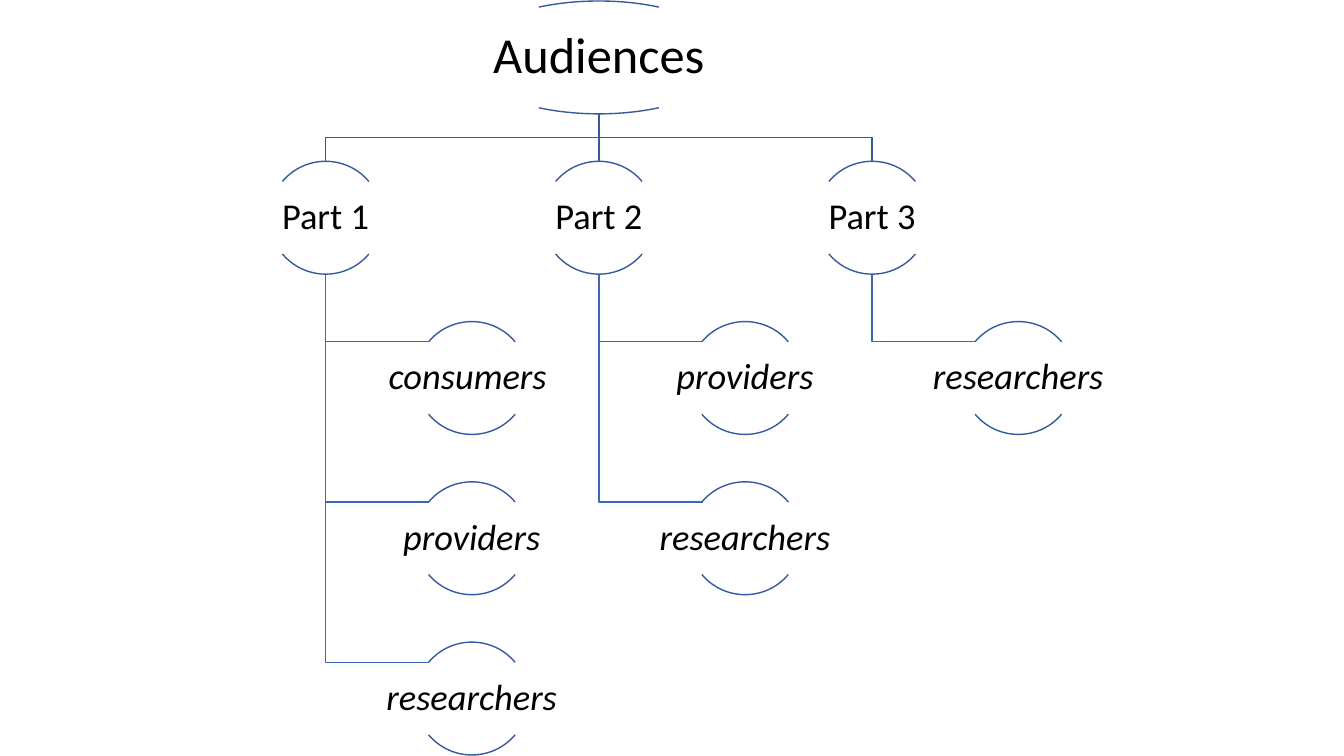
from dataclasses import dataclass

import lxml.etree
import pptx
import pptx.dml.color
import pptx.enum.shapes
import pptx.enum.text
import pptx.oxml.ns
import pptx.util

Inches = pptx.util.Inches

# Layout of the hierarchy, in inches
TOP = 0.01
LEVEL_STEP = 1.59
NODE_HEIGHT = 1.12
TEXT_OFFSET = 0.2
TEXT_HEIGHT = 0.72
FIRST_PART_X = 3.23
PART_STEP = 2.71
CHILD_OFFSET = 1.45
BRANCH_LENGTH = 1.03

NODE_COLOR = "365B9D"
BRANCH_COLOR = "3E67B2"
TEXT_COLOR = "000000"
ARC_ANGLES = ((132, 192), (24, 84))  # top and bottom arc

Point = tuple[float, float]


@dataclass
class Node:
    text: str
    center_x: float
    level: int
    arc_width: float = NODE_HEIGHT
    text_width: float = 2 * NODE_HEIGHT
    font_size: int = 26
    margin: float = 0.02
    italic: bool = False

    @property
    def top(self) -> float:
        return TOP + self.level * LEVEL_STEP

    @property
    def bottom(self) -> float:
        return self.top + NODE_HEIGHT


@dataclass
class Part:
    title: str
    audiences: list[str]


PARTS = [
    Part("Part 1", ["consumers ", "providers", "researchers"]),
    Part("Part 2", ["providers", "researchers"]),
    Part("Part 3", ["researchers"]),
]


def color(hex_value: str) -> pptx.dml.color.RGBColor:
    return pptx.dml.color.RGBColor.from_string(hex_value)


def format_line(shape, hex_value: str) -> None:
    shape.line.color.rgb = color(hex_value)
    shape.line.width = pptx.util.Pt(1)


def draw_path(slide, points: list[Point], hex_value: str) -> None:
    corners = [(Inches(x), Inches(y)) for x, y in points]
    builder = slide.shapes.build_freeform(*corners[0])
    builder.add_line_segments(corners[1:], close=False)
    path_shape = builder.convert_to_shape()
    path_shape.fill.background()
    path_shape.shadow.inherit = False
    format_line(path_shape, hex_value)


def draw_straight(slide, start: Point, end: Point, hex_value: str) -> None:
    connector = slide.shapes.add_connector(
        pptx.enum.shapes.MSO_CONNECTOR.STRAIGHT,
        *(Inches(value) for value in start + end))
    format_line(connector, hex_value)
    properties = connector._element.spPr
    lxml.etree.SubElement(properties, pptx.oxml.ns.qn("a:effectLst"))


def draw_arcs(slide, node: Node) -> None:
    for angles in ARC_ANGLES:
        arc = slide.shapes.add_shape(
            pptx.enum.shapes.MSO_SHAPE.ARC,
            Inches(node.center_x - node.arc_width / 2), Inches(node.top),
            Inches(node.arc_width), Inches(NODE_HEIGHT))
        arc.adjustments[0], arc.adjustments[1] = angles
        arc.fill.background()
        arc.shadow.inherit = False
        format_line(arc, NODE_COLOR)


def write_label(shape, node: Node) -> None:
    shape.left = Inches(node.center_x - node.text_width / 2)
    shape.top = Inches(node.top + TEXT_OFFSET)
    shape.width = Inches(node.text_width)
    shape.height = Inches(TEXT_HEIGHT)
    frame = shape.text_frame
    frame.text = node.text
    frame.word_wrap = True
    frame.auto_size = pptx.enum.text.MSO_AUTO_SIZE.NONE
    frame.vertical_anchor = pptx.enum.text.MSO_ANCHOR.MIDDLE
    frame.margin_left = frame.margin_right = Inches(node.margin)
    frame.margin_top = frame.margin_bottom = Inches(node.margin)
    paragraph = frame.paragraphs[0]
    paragraph.alignment = pptx.enum.text.PP_ALIGN.CENTER
    paragraph.line_spacing = 0.9
    font = paragraph.runs[0].font
    font.name = "Calibri"
    font.size = pptx.util.Pt(node.font_size)
    font.italic = node.italic
    font.color.rgb = color(TEXT_COLOR)


def draw_node(slide, node: Node) -> None:
    draw_arcs(slide, node)
    write_label(slide.shapes.add_textbox(0, 0, 0, 0), node)


def draw_root_branch(slide, root: Node, part: Node) -> None:
    start, end = (root.center_x, root.bottom), (part.center_x, part.top)
    if start[0] == end[0]:
        draw_straight(slide, start, end, NODE_COLOR)
    else:
        middle = (root.bottom + part.top) / 2
        draw_path(slide, [start, (start[0], middle), (end[0], middle), end],
                  NODE_COLOR)


def draw_child_branch(slide, part: Node, child: Node) -> None:
    branch_y = child.top + TEXT_OFFSET
    draw_path(slide, [(part.center_x, part.bottom), (part.center_x, branch_y),
                      (part.center_x + BRANCH_LENGTH, branch_y)], BRANCH_COLOR)


def main() -> None:
    presentation = pptx.Presentation()
    presentation.slide_width = Inches(13.33)
    presentation.slide_height = Inches(7.5)
    slide = presentation.slides.add_slide(presentation.slide_layouts[5])

    # Title at the root of the hierarchy
    root = Node("Audiences", FIRST_PART_X + PART_STEP, 0, arc_width=2.63,
                text_width=5.25, font_size=36, margin=0.03)
    draw_arcs(slide, root)
    write_label(slide.shapes.title, root)

    # Parts with their audiences
    for index, part in enumerate(PARTS):
        part_node = Node(part.title, FIRST_PART_X + index * PART_STEP, 1)
        draw_root_branch(slide, root, part_node)
        draw_node(slide, part_node)
        for level, audience in enumerate(part.audiences, start=2):
            child = Node(audience, part_node.center_x + CHILD_OFFSET, level,
                         italic=True)
            draw_child_branch(slide, part_node, child)
            draw_node(slide, child)

    presentation.save("out.pptx")


if __name__ == "__main__":
    main()
